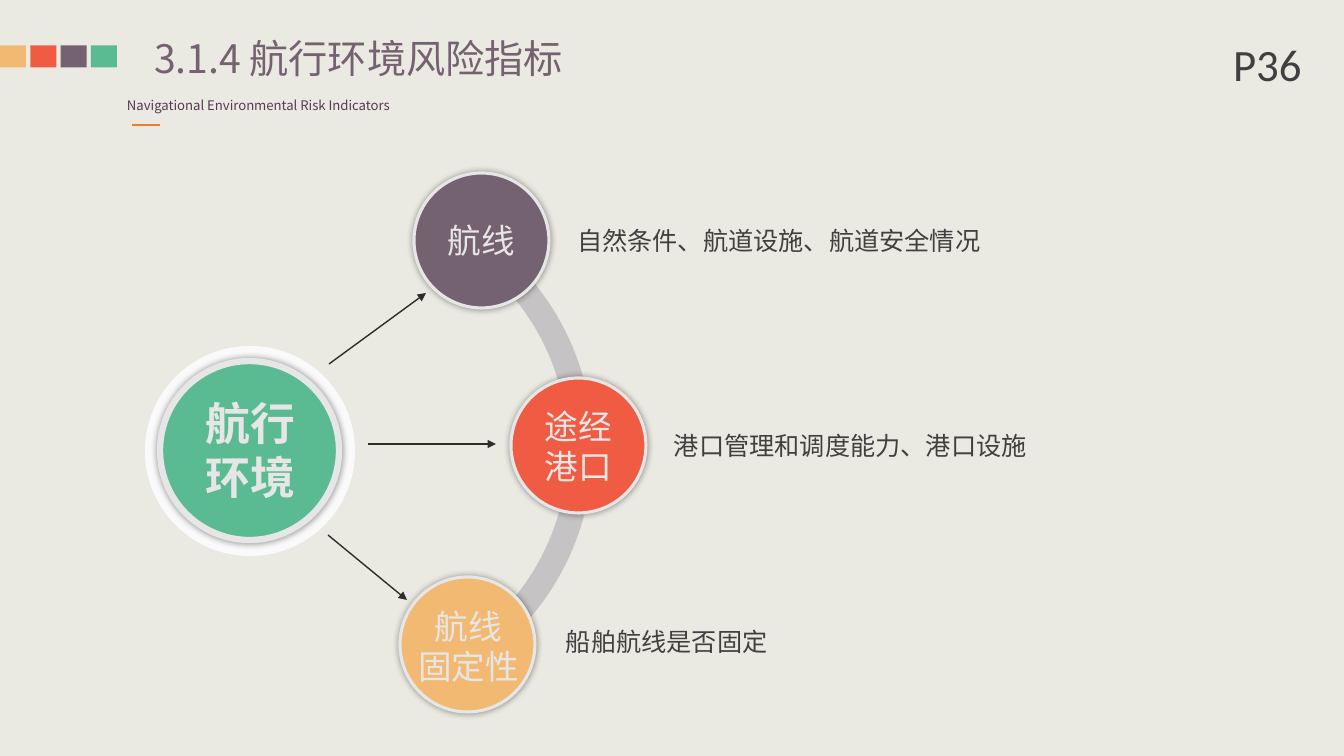
import pptx
import pptx.dml.color
import pptx.enum.shapes
import pptx.enum.text
import pptx.oxml
import pptx.oxml.ns
import pptx.util

RGBColor = pptx.dml.color.RGBColor
SHAPE = pptx.enum.shapes.MSO_SHAPE
ALIGN = pptx.enum.text.PP_ALIGN
ANCHOR = pptx.enum.text.MSO_ANCHOR

BACKGROUND = RGBColor(0xEB, 0xEA, 0xE2)
YELLOW = RGBColor(0xF2, 0xB9, 0x73)
RED = RGBColor(0xEF, 0x5B, 0x43)
PURPLE = RGBColor(0x75, 0x62, 0x71)
GREEN = RGBColor(0x5A, 0xBB, 0x93)
PLUM = RGBColor(0x54, 0x3C, 0x4F)
ORANGE = RGBColor(0xED, 0x7D, 0x31)
BAND = RGBColor(0xC5, 0xC3, 0xC3)
HALO = RGBColor(0xFA, 0xFA, 0xFA)
RING = RGBColor(0xE7, 0xE6, 0xE6)
ARROW = RGBColor(0x2E, 0x2C, 0x2C)
TEXT = RGBColor(0x40, 0x40, 0x40)

CJK = "Noto Sans CJK SC"
PX = 12192000 / 1344


def px(n):
    """Turn pixels into EMU."""
    return pptx.util.Emu(round(n * PX))


def add_xml(parent, tag, **attrs):
    """Append a DrawingML element and return it."""
    el = pptx.oxml.parse_xml(f"<a:{tag} {pptx.oxml.ns.nsdecls('a')}/>")
    for name, value in attrs.items():
        el.set(name, value)
    parent.append(el)
    return el


def format_text(tf, text, size, color, font=CJK, bold=False, align=ALIGN.LEFT):
    """Fill a text frame and format every paragraph and run."""
    tf.text = text
    tf.vertical_anchor = ANCHOR.MIDDLE
    for p in tf.paragraphs:
        p.alignment = align
        p.space_before = pptx.util.Pt(0)
        p.line_spacing = pptx.util.Pt(round(size * 1.2, 1))
        for r in p.runs:
            r.font.size = pptx.util.Pt(size)
            r.font.bold = bold
            r.font.name = font
            r.font.color.rgb = color
            add_xml(r.font._element, "ea", typeface=font)


def add_text(slide, box, text, size, color, wrap=True, **style):
    """Add a text box with its insets set to the usual 10 by 5 px."""
    tf = slide.shapes.add_textbox(*map(px, box)).text_frame
    tf.word_wrap = wrap
    tf.margin_left = tf.margin_right = px(10)
    tf.margin_top = tf.margin_bottom = px(5)
    format_text(tf, text, size, color, **style)


def add_filled(slide, kind, box, color):
    """Add a preset shape with a plain fill."""
    sp = slide.shapes.add_shape(kind, *map(px, box))
    sp.shadow.inherit = False
    sp.fill.solid()
    sp.fill.fore_color.rgb = color
    sp.line.fill.background()
    return sp


def add_line(slide, start, end, color, width, arrow=False):
    """Add a straight line, with an arrowhead at its end if asked."""
    line = slide.shapes.add_connector(
        pptx.enum.shapes.MSO_CONNECTOR.STRAIGHT, *map(px, start + end))
    line.line.color.rgb = color
    line.line.width = pptx.util.Pt(width)
    if arrow:
        add_xml(line.line._get_or_add_ln(), "tailEnd", type="triangle")
    add_xml(line._element.spPr, "effectLst")


def add_circle(slide, box, color, ring, label, label_box, size, bold=False):
    """Add a ringed circle with a soft shadow and a label placed within it."""
    x, y, w, h = box
    sp = add_filled(slide, SHAPE.OVAL, box, color)
    sp.line.color.rgb = RING
    sp.line.width = pptx.util.Pt(ring)
    effects = sp._element.spPr.find(pptx.oxml.ns.qn("a:effectLst"))
    shadow = add_xml(effects, "outerShdw", blurRad="63500", dist="0",
                     algn="ctr", rotWithShape="0")
    add_xml(add_xml(shadow, "srgbClr", val="000000"), "alpha", val="40000")
    dx, dy, label_w, label_h = label_box
    add_text(slide, (x + dx, y + dy, label_w, label_h), label, size, RING,
             bold=bold, align=ALIGN.CENTER)


def add_header(slide, box):
    """Place the colour squares, title, subtitle and page mark."""
    x, y, w, h = box
    for i, color in enumerate((YELLOW, RED, PURPLE, GREEN)):
        add_filled(slide, SHAPE.RECTANGLE,
                   (x + 30.3 * i, y + 45.5, 26, 22), color)
    title = slide.shapes.title
    title.left, title.top, title.width, title.height = map(
        px, (x + 154, y + 34, 423, 47))
    tf = title.text_frame
    tf.margin_left = tf.margin_right = tf.margin_top = tf.margin_bottom = 0
    format_text(tf, "3.1.4 航行环境风险指标", 28, PURPLE)
    add_text(slide, (x + 117, y + 92, 291, 26),
             "Navigational Environmental Risk Indicators", 9.4, PLUM, wrap=False)
    add_line(slide, (x + 132, y + 125), (x + 160, y + 125), ORANGE, 1.5)
    add_text(slide, (x + w - 121, y + 32, 93, 64), "P36", 32, TEXT,
             font="Calibri")


def add_band(slide, center, radius, thickness, first, last):
    """Draw the curved band clockwise between two angles in degrees."""
    size = 2 * radius
    sp = add_filled(slide, SHAPE.BLOCK_ARC,
                    (center[0] - radius, center[1] - radius, size, size), BAND)
    for i, angle in enumerate((first, last)):
        sp.adjustments[i] = angle * 60000 / 100000
    sp.adjustments[2] = thickness / size


def add_diagram(slide, box):
    """Place the hub, the band and the three indicators."""
    x, y, w, h = box
    add_band(slide, (x + 187, y + 275), 261, 25, 300, 59)
    indicators = (
        (269, 0, PURPLE, "航线", (19, 42, 97, 50),
         "自然条件、航道设施、航道安全情况", (422, 47, 710, 40),
         (184, 191), (281, 120)),
        (366, 205, RED, "途经港口", (19, 22, 97, 92),
         "港口管理和调度能力、港口设施", (519, 252, 486, 40),
         (223, 271), (351, 271)),
        (255, 404, YELLOW, "航线\n固定性", (4, 23, 129, 92),
         "船舶航线是否固定", (411, 448, 668, 40),
         (183, 362), (262, 427)),
    )
    for dx, dy, color, label, label_box, note, note_box, start, end in indicators:
        add_line(slide, (x + start[0], y + start[1]),
                 (x + end[0], y + end[1]), ARROW, 1, arrow=True)
        add_circle(slide, (x + dx, y + dy, 135, 135), color, 2.25,
                   label, label_box, 24)
        note_x, note_y, note_w, note_h = note_box
        add_text(slide, (x + note_x, y + note_y, note_w, note_h), note, 18,
                 TEXT, align=ALIGN.JUSTIFY)
    add_filled(slide, SHAPE.OVAL, (x, y + 173, 210, 210), HALO)
    add_circle(slide, (x + 15, y + 188, 179, 179), GREEN, 4.5,
               "航行环境", (33, 29, 115, 119), 32, bold=True)


def main():
    """Build the slide and save it."""
    prs = pptx.Presentation()
    prs.slide_width, prs.slide_height = px(1344), px(756)
    slide = prs.slides.add_slide(prs.slide_layouts[5])
    slide.background.fill.solid()
    slide.background.fill.fore_color.rgb = BACKGROUND
    add_header(slide, (0, 0, 1344, 130))
    add_diagram(slide, (145, 173, 1133, 539))
    prs.save("out.pptx")


if __name__ == "__main__":
    main()
